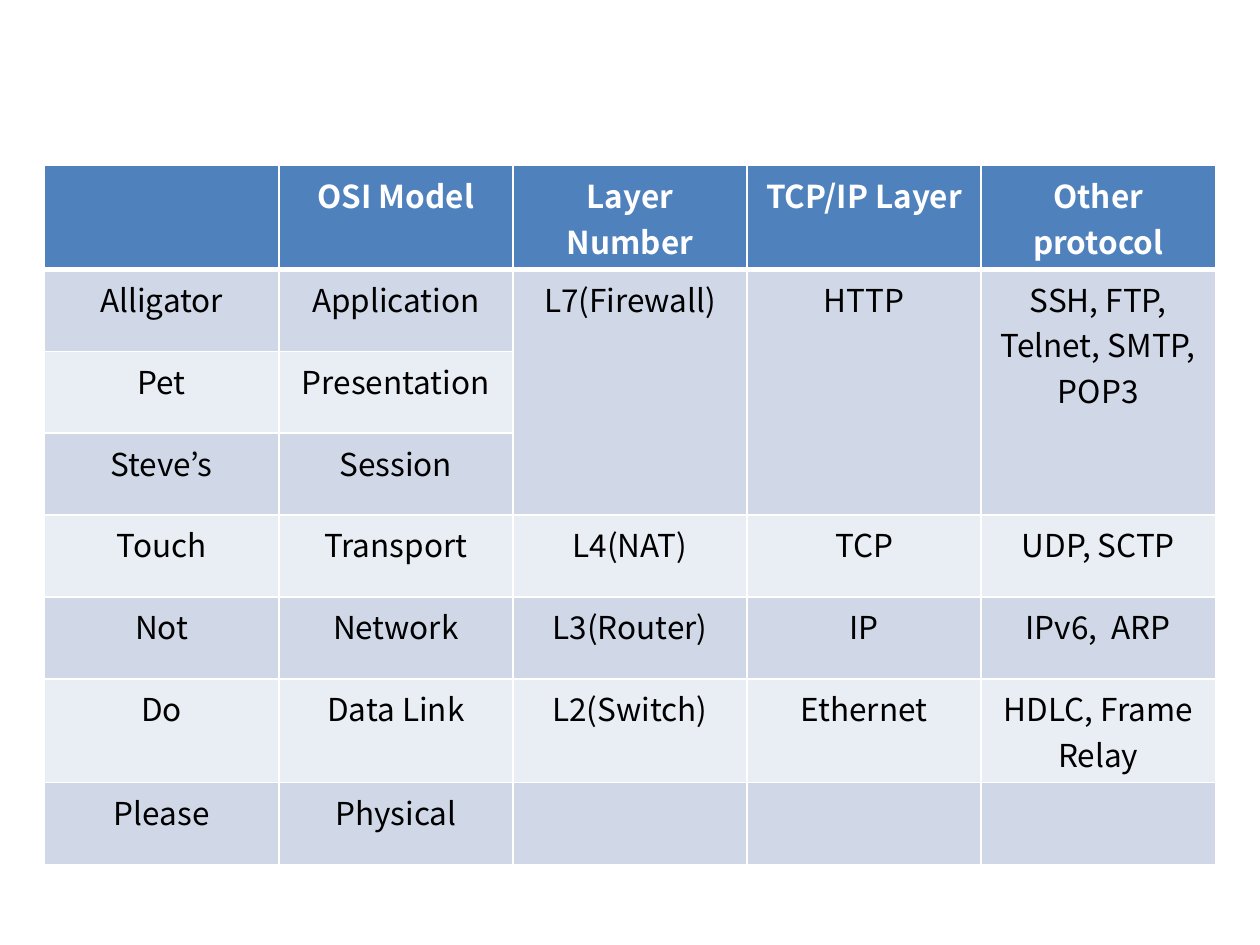
from lxml.etree import SubElement
from pptx import Presentation
from pptx.dml.color import RGBColor
from pptx.enum.text import PP_ALIGN
from pptx.oxml.ns import qn
from pptx.util import Cm, Pt

FONT = "Noto Sans CJK KR"
COLORS = {
    "header": "4F81BD",
    "odd_row": "D0D8E8",
    "even_row": "E9EDF4",
    "border": "FFFFFF",
    "header_text": "FFFFFF",
    "body_text": "000000",
}
ROWS = [
    ["", "OSI Model", "Layer Number", "TCP/IP Layer", "Other protocol"],
    ["Alligator", "Application", "L7(Firewall)", "HTTP", "SSH, FTP, Telnet, SMTP, POP3"],
    ["Pet", "Presentation", "", "", ""],
    ["Steve’s", "Session", "", "", ""],
    ["Touch", "Transport", "L4(NAT)", "TCP", "UDP, SCTP"],
    ["Not", "Network", "L3(Router)", "IP", "IPv6,  ARP"],
    ["Do", "Data Link", "L2(Switch)", "Ethernet", "HDLC, Frame Relay"],
    ["Please", "Physical", "", "", ""],
]
# The upper three OSI layers share one cell in each of the last columns
MERGED_COLUMNS = range(2, 5)
MERGED_ROWS = (1, 3)
COLUMN_WIDTH = Cm(4.72)
ROW_HEIGHT = Cm(1.65)


def color(name):
    return RGBColor.from_string(COLORS[name])


def write_text(cell, text, *, size=18, bold=False, color_name="body_text"):
    paragraph = cell.text_frame.paragraphs[0]
    paragraph.alignment = PP_ALIGN.CENTER
    if not text:
        paragraph.font.size = Pt(size)
        return
    run = paragraph.add_run()
    run.text = text
    run.font.name = FONT
    run.font.size = Pt(size)
    run.font.bold = bold
    run.font.color.rgb = color(color_name)


def set_borders(cell, **widths):
    """Draw solid borders; call before filling, as lines precede the fill."""
    properties = cell._tc.get_or_add_tcPr()
    for side in ("L", "R", "T", "B"):
        line = SubElement(properties, qn(f"a:ln{side}"), w=str(Pt(widths.get(side, 1))))
        fill = SubElement(line, qn("a:solidFill"))
        SubElement(fill, qn("a:srgbClr"), val=COLORS["border"])


def format_cell(cell, text, row_index):
    is_header = row_index == 0
    borders = {"B": 3} if is_header else {"T": 3} if row_index == 1 else {}
    set_borders(cell, **borders)
    cell.fill.solid()
    band = "odd_row" if row_index % 2 else "even_row"
    cell.fill.fore_color.rgb = color("header" if is_header else band)
    write_text(cell, text, bold=is_header,
               color_name="header_text" if is_header else "body_text")


def add_layer_table(slide):
    row_count, column_count = len(ROWS), len(ROWS[0])
    table = slide.shapes.add_table(
        row_count, column_count, Cm(0.9), Cm(3.34),
        COLUMN_WIDTH * column_count, ROW_HEIGHT * row_count).table
    for column in table.columns:
        column.width = COLUMN_WIDTH
    for row in table.rows:
        row.height = ROW_HEIGHT
    for row_index, texts in enumerate(ROWS):
        for column_index, text in enumerate(texts):
            format_cell(table.cell(row_index, column_index), text, row_index)
    first_row, last_row = MERGED_ROWS
    for column_index in MERGED_COLUMNS:
        table.cell(first_row, column_index).merge(table.cell(last_row, column_index))


def main():
    presentation = Presentation()
    presentation.slide_width = Cm(25.4)
    presentation.slide_height = Cm(19.05)
    slide = presentation.slides.add_slide(presentation.slide_layouts[6])
    add_layer_table(slide)
    presentation.save("out.pptx")


if __name__ == "__main__":
    main()
